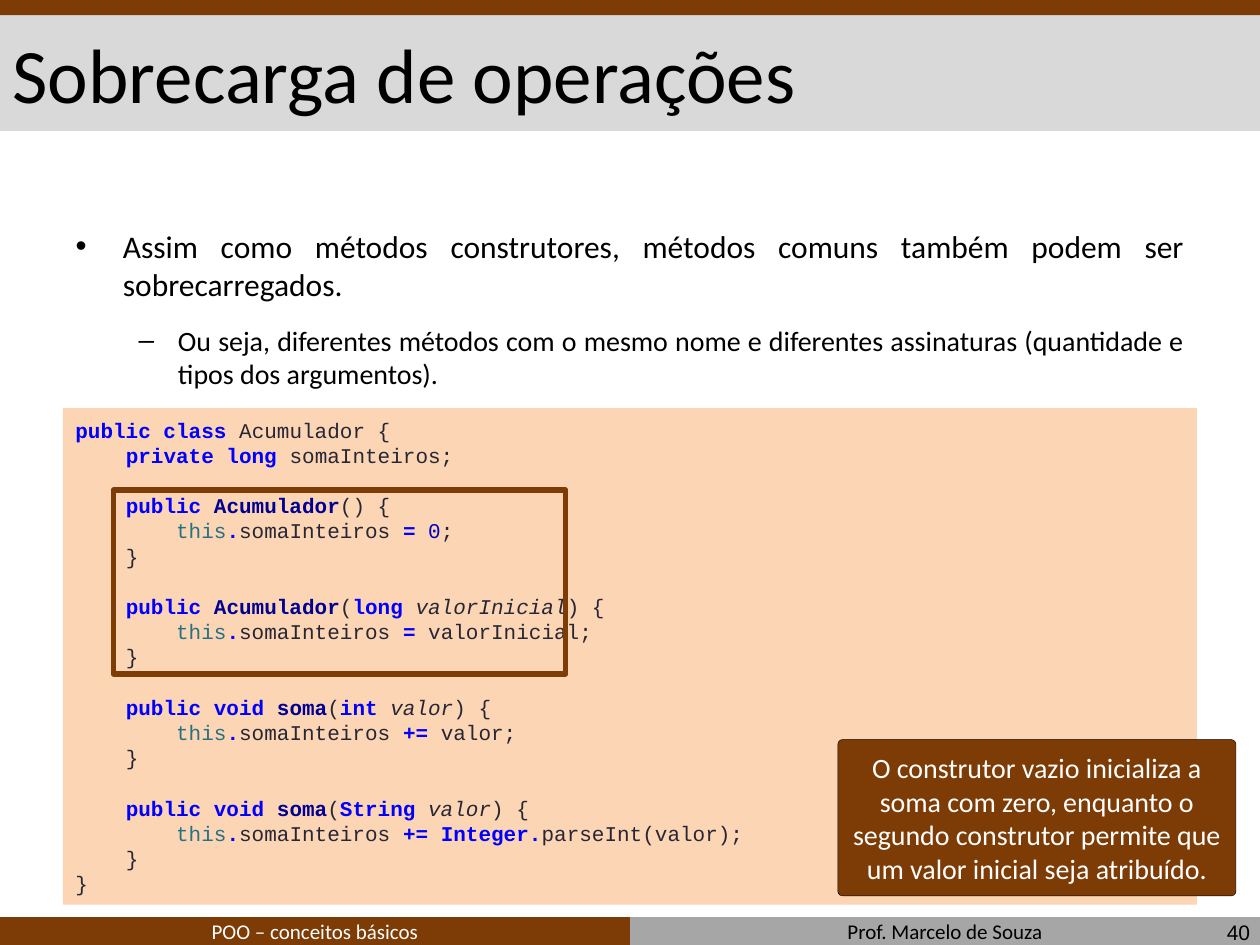
"""Build the slide on operator overloading: heading, bullets, code listing and callout."""
from dataclasses import dataclass
from typing import NamedTuple, Optional

from pptx import Presentation
from pptx.dml.color import RGBColor
from pptx.enum.shapes import MSO_SHAPE
from pptx.enum.text import MSO_ANCHOR, MSO_AUTO_SIZE, PP_ALIGN
from pptx.util import Inches, Pt

COLUMNS, ROWS = 100, 75
CELL = Inches(0.1)


class Box(NamedTuple):
    """Left, top, width and height in grid columns and rows."""
    column: float
    row: float
    columns: float
    rows: float

    def lengths(self) -> list[int]:
        """Return the four lengths in slide units."""
        return [int(part * CELL) for part in self]


class Look(NamedTuple):
    """Colour and emphasis of a code token."""
    color: str
    bold: bool = False
    italic: bool = False


@dataclass(frozen=True)
class Theme:
    """Colours, fonts and type sizes of the slide."""
    brown: str = "7D3B05"
    gray: str = "A6A6A6"
    pale: str = "D9D9D9"
    peach: str = "FCD5B5"
    black: str = "000000"
    white: str = "FFFFFF"
    text: str = "Calibri"
    number: str = "Arial"
    mono: str = "Courier New"
    heading: float = 44
    point: float = 18
    detail: float = 16
    small: float = 12
    code_line: float = 14.4
    gap: float = 12


THEME = Theme()
PLAIN = Look("262634")
KEYWORD = Look("0000FF", bold=True)
METHOD = Look("000091", bold=True)
PARAMETER = Look("262634", italic=True)
THIS = Look("287183")
NUMBER = Look("0000C2")
Token = tuple[str, Look]


class CodeLine(NamedTuple):
    """A line of code with its nesting level and the blank lines above it."""
    level: int
    tokens: list[Token]
    blank_above: int = 0


class Band(NamedTuple):
    """A plain coloured strip of the frame."""
    box: Box
    fill: str


class Label(NamedTuple):
    """A small text in the footer."""
    box: Box
    wording: str
    color: str
    font: str
    align: PP_ALIGN
    anchor: MSO_ANCHOR


class Point(NamedTuple):
    """A bulleted statement with its level and size."""
    level: int
    size: float
    wording: str


BANDS = [
    Band(Box(50, 72.8, 50, 2.4), THEME.gray),
    Band(Box(0, 72.8, 50, 2.4), THEME.brown),
    Band(Box(0, 1.1, COLUMNS, 9.3), THEME.pale),
    Band(Box(0, 0, COLUMNS, 1.2), THEME.brown),
]
LABELS = [
    Label(Box(50, 72.4, 50, 3), "Prof. Marcelo de Souza", THEME.black, THEME.text,
          PP_ALIGN.CENTER, MSO_ANCHOR.BOTTOM),
    Label(Box(0, 72.4, 50, 3), "POO – conceitos básicos", THEME.white, THEME.text,
          PP_ALIGN.CENTER, MSO_ANCHOR.BOTTOM),
    Label(Box(76.9, 72.3, 23.3, 3.3), "40", THEME.black, THEME.number,
          PP_ALIGN.RIGHT, MSO_ANCHOR.MIDDLE),
]
POINTS = [
    Point(0, THEME.point, "Assim como métodos construtores, métodos comuns também podem "
          "ser sobrecarregados."),
    Point(1, THEME.detail, "Ou seja, diferentes métodos com o mesmo nome e diferentes "
          "assinaturas (quantidade e tipos dos argumentos)."),
]
CALLOUT = ("O construtor vazio inicializa a soma com zero, enquanto o segundo construtor "
           "permite que um valor inicial seja atribuído.")


def method(modifiers: str, name: str, parameter: list[Token], body: list[Token]) -> list[CodeLine]:
    """Return the three lines of a method that updates the running sum."""
    return [
        CodeLine(1, [(modifiers, KEYWORD), (name, METHOD), ("(", PLAIN), *parameter,
                     (") {", PLAIN)], blank_above=1),
        CodeLine(2, [("this", THIS), (".", KEYWORD), ("somaInteiros ", PLAIN), *body]),
        CodeLine(1, [("}", PLAIN)]),
    ]


CODE = [
    CodeLine(0, [("public class ", KEYWORD), ("Acumulador {", PLAIN)]),
    CodeLine(1, [("private long ", KEYWORD), ("somaInteiros;", PLAIN)]),
    *method("public ", "Acumulador", [],
            [("= ", KEYWORD), ("0", NUMBER), (";", PLAIN)]),
    *method("public ", "Acumulador", [("long ", KEYWORD), ("valorInicial", PARAMETER)],
            [("= ", KEYWORD), ("valorInicial;", PLAIN)]),
    *method("public void ", "soma", [("int ", KEYWORD), ("valor", PARAMETER)],
            [("+=", KEYWORD), (" valor;", PLAIN)]),
    *method("public void ", "soma", [("String ", KEYWORD), ("valor", PARAMETER)],
            [("+= Integer.", KEYWORD), ("parseInt(valor);", PLAIN)]),
    CodeLine(0, [("}", PLAIN)]),
]


def style(paragraph, font: str, size: float, color: str, align: PP_ALIGN) -> None:
    """Set the font and alignment of a paragraph."""
    paragraph.alignment = align
    paragraph.font.name = font
    paragraph.font.size = Pt(size)
    paragraph.font.color.rgb = RGBColor.from_string(color)


def add_panel(slide, box: Box, fill: Optional[str] = None, line: Optional[str] = None,
              width: float = 0, preset: MSO_SHAPE = MSO_SHAPE.RECTANGLE):
    """Add a shape with an optional fill and outline."""
    panel = slide.shapes.add_shape(preset, *box.lengths())
    panel.shadow.inherit = False
    for paint, color in ((panel.fill, fill), (panel.line.fill, line)):
        if color:
            paint.solid()
            paint.fore_color.rgb = RGBColor.from_string(color)
        else:
            paint.background()
    if line:
        panel.line.width = Pt(width)
    return panel


def add_label(slide, label: Label) -> None:
    """Add a footer text."""
    frame = slide.shapes.add_textbox(*label.box.lengths()).text_frame
    frame.word_wrap = True
    frame.vertical_anchor = label.anchor
    frame.text = label.wording
    style(frame.paragraphs[0], label.font, THEME.small, label.color, label.align)


def place(slide, holder, box: Box):
    """Move a placeholder to the front and to its box, and return its text frame."""
    slide.shapes.element.append(holder.element)
    holder.left, holder.top, holder.width, holder.height = box.lengths()
    holder.text_frame.auto_size = MSO_AUTO_SIZE.NONE
    return holder.text_frame


def add_code(slide, box: Box, lines: list[CodeLine]) -> None:
    """Add the highlighted code listing."""
    frame = add_panel(slide, box, THEME.peach).text_frame
    frame.word_wrap = True
    frame.vertical_anchor = MSO_ANCHOR.MIDDLE
    for index, line in enumerate(lines):
        paragraph = frame.add_paragraph() if index else frame.paragraphs[0]
        style(paragraph, THEME.mono, THEME.small, PLAIN.color, PP_ALIGN.LEFT)
        paragraph.line_spacing = Pt(THEME.code_line)
        paragraph.space_before = Pt(THEME.code_line * line.blank_above)
        paragraph._p.get_or_add_pPr().set("marL", str(4 * CELL * line.level))
        for wording, look in line.tokens:
            run = paragraph.add_run()
            run.text = wording
            run.font.color.rgb = RGBColor.from_string(look.color)
            run.font.bold, run.font.italic = look.bold, look.italic


def main() -> None:
    """Build and save the slide."""
    deck = Presentation()
    deck.slide_width, deck.slide_height = COLUMNS * CELL, ROWS * CELL
    slide = deck.slides.add_slide(deck.slide_layouts[1])
    title, body = slide.placeholders
    for band in BANDS:
        add_panel(slide, band.box, band.fill)
    for label in LABELS:
        add_label(slide, label)
    points = place(slide, body, Box(5, 17.5, 90, 52.5))
    for index, point in enumerate(POINTS):
        paragraph = points.add_paragraph() if index else points.paragraphs[0]
        paragraph.text, paragraph.level = point.wording, point.level
        paragraph.space_before = Pt(THEME.gap)
        style(paragraph, THEME.text, point.size, THEME.black, PP_ALIGN.JUSTIFY)
    heading = place(slide, title, Box(0, 1.2, COLUMNS, 9.1))
    heading.text = "Sobrecarga de operações"
    heading.vertical_anchor = MSO_ANCHOR.MIDDLE
    style(heading.paragraphs[0], THEME.text, THEME.heading, THEME.black, PP_ALIGN.LEFT)
    add_code(slide, Box(5, 32.4, 90, 39.4), CODE)
    callout = add_panel(slide, Box(66.5, 58.7, 31.6, 12.4), THEME.brown, THEME.black, 0.25,
                        MSO_SHAPE.ROUNDED_RECTANGLE)
    callout.adjustments[0] = 0.03
    callout.text_frame.word_wrap = True
    callout.text_frame.text = CALLOUT
    style(callout.text_frame.paragraphs[0], THEME.text, THEME.detail, THEME.white,
          PP_ALIGN.CENTER)
    add_panel(slide, Box(9, 38.9, 35.9, 14.6), line=THEME.brown, width=3)
    deck.save("out.pptx")


if __name__ == "__main__":
    main()
